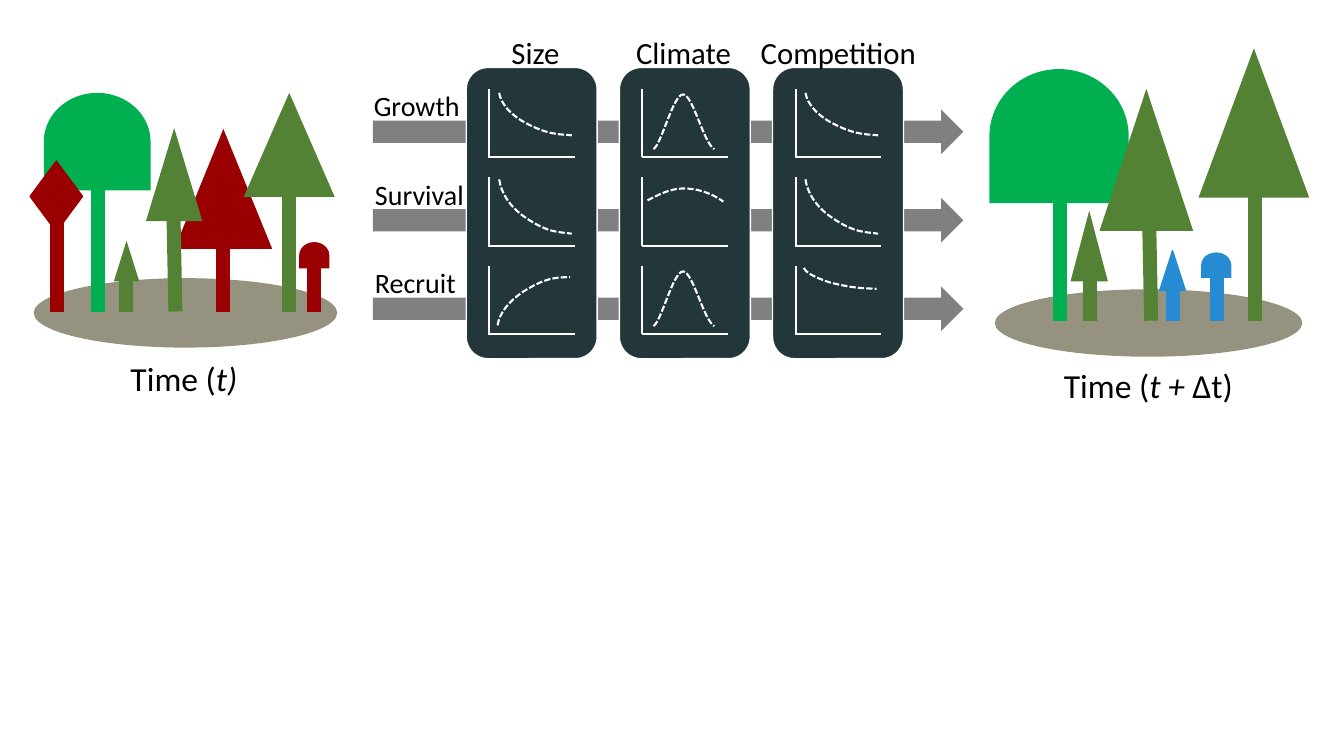
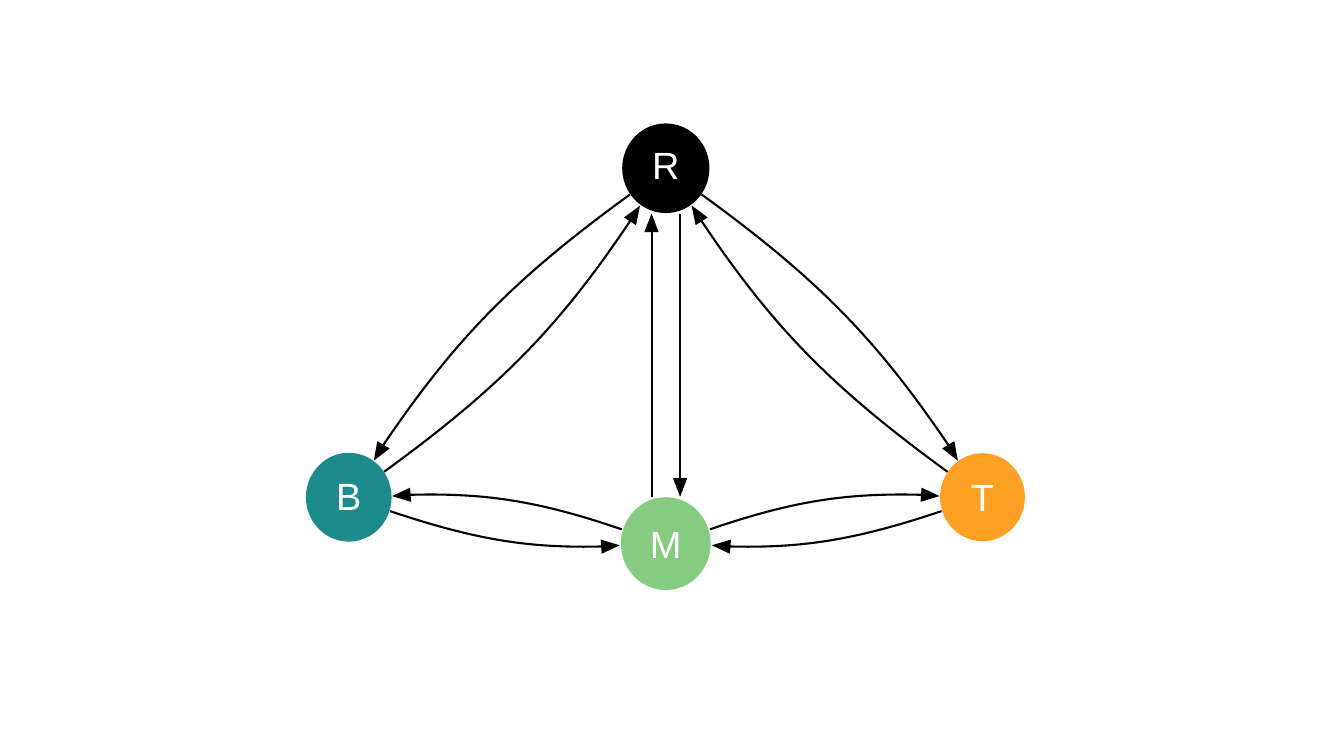
import math

import lxml.etree
import pptx
import pptx.dml.color
import pptx.enum.dml
import pptx.enum.shapes
import pptx.enum.text
import pptx.oxml.ns
import pptx.util

Cm = pptx.util.Cm
Pt = pptx.util.Pt
RGBColor = pptx.dml.color.RGBColor
SHAPE = pptx.enum.shapes.MSO_SHAPE
ALIGN = pptx.enum.text.PP_ALIGN
qn = pptx.oxml.ns.qn

BLACK = RGBColor(0x00, 0x00, 0x00)
WHITE = RGBColor(0xFF, 0xFF, 0xFF)
GRAY = RGBColor(0x80, 0x80, 0x80)
SOIL = RGBColor(0x95, 0x93, 0x7F)
SLATE = RGBColor(0x23, 0x36, 0x3A)
GREEN = RGBColor(0x00, 0xB0, 0x50)
OLIVE = RGBColor(0x53, 0x82, 0x34)
RED = RGBColor(0x9A, 0x00, 0x01)
BLUE = RGBColor(0x26, 0x8B, 0xD2)
TEAL = RGBColor(0x1D, 0x8B, 0x8B)
LIME = RGBColor(0x85, 0xCB, 0x80)
ORANGE = RGBColor(0xFD, 0xA1, 0x25)

DOME = SHAPE.FLOWCHART_DELAY
CONE = SHAPE.ISOSCELES_TRIANGLE
DIAMOND = SHAPE.DIAMOND

FOREST_BEFORE = [
    (DOME, 2.45, 2.34, 2.69, 2.46, GREEN, 2.46),
    (DOME, 7.92, 6.1, 0.76, 0.66, RED, 7.92),
    (CONE, 5.63, 3.25, 2.46, 3.02, RED, 5.61),
    (CONE, 7.29, 2.34, 2.29, 2.62, OLIVE, 7.29),
    (CONE, 4.39, 3.23, 1.42, 2.34, OLIVE, 4.37, 0.05),
    (CONE, 3.19, 6.07, 0.64, 1.02, OLIVE, 3.18),
    (DIAMOND, 1.42, 4.06, 1.32, 1.78, RED, 1.44, 0, RED),
]
FOREST_AFTER = [
    (DOME, 26.69, 1.74, 3.51, 3.38, GREEN, 26.72),
    (DOME, 30.65, 6.36, 0.76, 0.64, BLUE, 30.66),
    (CONE, 31.6, 1.22, 2.79, 3.76, OLIVE, 31.62),
    (CONE, 28.89, 2.24, 2.36, 3.58, OLIVE, 28.96, 0.05),
    (CONE, 27.45, 5.31, 0.94, 1.78, OLIVE, 27.46),
    (CONE, 29.55, 6.32, 0.64, 0.99, BLUE, 29.57, 0, BLUE),
]

SHALLOW = [(0.83, 0.1), (0.88, 0.38), (1.11, 0.64), (1.46, 0.84),
           (2.07, 1.17), (2.35, 1.14), (2.66, 1.17)]
STEEP = [(0.83, 0.05), (0.88, 0.41), (1.11, 0.74), (1.46, 0.99),
         (2.07, 1.42), (2.35, 1.37), (2.66, 1.42)]
RISING = [(0.79, 1.5), (0.84, 1.17), (1.09, 0.89), (1.42, 0.66),
          (2.06, 0.25), (2.34, 0.3), (2.62, 0.28)]
SLIGHT = [(0.79, 0.05), (0.84, 0.18), (1.09, 0.3), (1.42, 0.41),
          (2.06, 0.58), (2.34, 0.56), (2.62, 0.58)]
BELL = [(0.86, 1.52), (1.07, 1.37), (1.35, 0.16), (1.6, 0.14),
        (1.85, 0.13), (2.11, 1.34), (2.39, 1.52)]
HUMP = [(0.71, 0.58), (0.94, 0.46), (1.27, 0.28), (1.6, 0.28),
        (1.93, 0.28), (2.26, 0.36), (2.62, 0.61)]

FILTERS = [
    ("Size", 13.5, [SHALLOW, STEEP, RISING]),
    ("Climate", 17.23, [BELL, HUMP, BELL]),
    ("Competition", 21.13, [SHALLOW, STEEP, SLIGHT]),
]
RATES = [("Growth", 9.17), ("Survival", 9.2), ("Recruit", 9.2)]
PANEL_LEFT, PANEL_STEP, ROW_STEP = 11.75, 3.86, 2.23

AXIS_X = 16.78
STATES = [
    ("R", AXIS_X, 4.24, 2.2, 2.26, BLACK, 0.2),
    ("T", 24.76, 12.53, 2.14, 2.22, ORANGE, 0.04),
    ("M", AXIS_X, 13.7, 2.26, 2.34, LIME, 0.04),
    ("B", 8.79, 12.53, 2.16, 2.24, TEAL, 0.1),
]
TRANSITIONS = [
    ([(9.68, 11.89), (12.62, 9.75), (14.1, 8.23), (15.9, 5.54)], (16.13, 5.18)),
    ([(15.88, 4.9), (12.93, 7.04), (11.46, 8.56), (9.65, 11.23)], (9.42, 11.61)),
    ([(15.67, 13.34), (13.51, 12.6), (12.17, 12.42), (10.31, 12.47)], (9.88, 12.5)),
    ([(9.83, 12.88), (12.01, 13.61), (13.34, 13.82), (15.21, 13.77)], (15.62, 13.74)),
]


def write(shape, text, size=20, color=BLACK, font="Calibri", italic=False,
          align=ALIGN.CENTER):
    paragraph = shape.text_frame.paragraphs[0]
    paragraph.alignment = align
    run = paragraph.add_run()
    run.text = text
    run.font.size = Pt(size)
    run.font.name = font
    run.font.italic = italic
    run.font.color.rgb = color


def add_label(slide, left, top, width, height):
    label = slide.shapes.add_textbox(Cm(left), Cm(top), Cm(width), Cm(height))
    label.text_frame.word_wrap = True
    return label


def paint(shape, color, outline=None):
    shape.shadow.inherit = False
    shape.fill.solid()
    shape.fill.fore_color.rgb = color
    if outline is None:
        shape.line.fill.background()
    else:
        shape.line.color.rgb = outline
        shape.line.width = Pt(1)


def add_filled(slide, kind, left, top, width, height, color, outline=None):
    shape = slide.shapes.add_shape(kind, Cm(left), Cm(top), Cm(width), Cm(height))
    paint(shape, color, outline)
    return shape


def add_line(slide, start, end, color, width):
    ends = [Cm(value) for value in (*start, *end)]
    line = slide.shapes.add_connector(
        pptx.enum.shapes.MSO_CONNECTOR.STRAIGHT, *ends)
    line.line.color.rgb = color
    line.line.width = Pt(width)
    lxml.etree.SubElement(line._element.spPr, qn("a:effectLst"))


def add_outline(slide, points, close):
    corners = [(Cm(x), Cm(y)) for x, y in points]
    builder = slide.shapes.build_freeform(*corners[0])
    builder.add_line_segments(corners[1:], close=close)
    return builder.convert_to_shape()


def add_curve(slide, controls, color):
    curve = add_outline(slide, controls, close=False)
    segments = list(curve._element.iter(qn("a:lnTo")))
    for first in range(0, len(segments), 3):
        bend = lxml.etree.Element(qn("a:cubicBezTo"))
        segments[first].addprevious(bend)
        for segment in segments[first:first + 3]:
            bend.append(segment[0])
            segment.getparent().remove(segment)
    curve.shadow.inherit = False
    curve.fill.background()
    curve.line.color.rgb = color
    curve.line.width = Pt(1.5)
    return curve


def add_arrowhead(slide, end, tip):
    angle = math.atan2(tip[1] - end[1], tip[0] - end[0])
    back_x, back_y = 0.47 * math.cos(angle), 0.47 * math.sin(angle)
    side_x, side_y = -0.18 * math.sin(angle), 0.18 * math.cos(angle)
    base = [(tip[0] - back_x + sign * side_x, tip[1] - back_y + sign * side_y)
            for sign in (1, -1)]
    paint(add_outline(slide, [tip, *base], close=True), BLACK)


def add_tree(slide, ground, kind, x, top, width, height, color, trunk,
             lean=0, outline=None):
    if kind == DOME:
        middle = top + height / 2
        crown = add_filled(slide, kind, x - height / 2, middle - width / 2,
                           height, width, color)
        crown.rotation = 270
    else:
        add_filled(slide, kind, x - width / 2, top, width, height, color, outline)
    add_line(slide, (trunk, top + height - 0.25), (trunk + lean, ground), color, 10)


def add_forest(slide, soil, ground, trees):
    add_filled(slide, SHAPE.OVAL, *soil, SOIL)
    for tree in trees:
        add_tree(slide, ground, *tree)


def add_plot(slide, left, top, controls):
    bottom = top + 1.72
    add_line(slide, (left + 0.58, top), (left + 0.58, bottom), WHITE, 1.5)
    add_line(slide, (left + 0.56, bottom), (left + 2.74, bottom), WHITE, 1.5)
    curve = add_curve(slide, [(left + x, top + y) for x, y in controls], WHITE)
    curve.line.dash_style = pptx.enum.dml.MSO_LINE.SQUARE_DOT


def add_panel(slide, left, heading, center, curves):
    add_filled(slide, SHAPE.ROUNDED_RECTANGLE, left, 1.7, 3.3, 7.34,
               SLATE, outline=WHITE)
    for row, controls in enumerate(curves):
        add_plot(slide, left, 2.24 + row * ROW_STEP, controls)
    write(add_label(slide, center - 2.29, 0.73, 4.57, 1.19), heading, size=22)


def add_state(slide, letter, x, y, width, height, color, lift):
    state = add_filled(slide, SHAPE.OVAL, x - width / 2, y - height / 2,
                       width, height, color)
    frame = state.text_frame
    frame.margin_left = frame.margin_right = frame.margin_top = Cm(0)
    frame.margin_bottom = Cm(lift)
    frame.vertical_anchor = pptx.enum.text.MSO_ANCHOR.MIDDLE
    write(state, letter, size=27.1, color=WHITE, font="Arial")


def build_forest_model(slide):
    add_forest(slide, (0.85, 7.01, 7.65, 1.75), 7.85, FOREST_BEFORE)
    before = add_label(slide, 0.85, 8.9, 7.57, 1.27)
    write(before, "Time (", size=24)
    write(before, "t)", size=24, italic=True)

    for row in range(len(RATES)):
        add_filled(slide, SHAPE.RIGHT_ARROW, 9.4, 2.76 + row * ROW_STEP,
                   14.88, 1.12, GRAY)
    for column, panel in enumerate(FILTERS):
        add_panel(slide, PANEL_LEFT + column * PANEL_STEP, *panel)
    for row, (rate, left) in enumerate(RATES):
        label = add_label(slide, left, 2.11 + row * ROW_STEP, 3.35, 1.12)
        write(label, rate, align=ALIGN.LEFT)

    add_forest(slide, (25.07, 7.29, 7.75, 1.7), 8.08, FOREST_AFTER)
    after = add_label(slide, 25.09, 9.07, 7.7, 1.27)
    write(after, "Time (", size=24)
    write(after, "t + ", size=24, italic=True)
    write(after, "Δt)", size=24)


def mirror(point):
    return 2 * AXIS_X - point[0], point[1]


def build_state_model(slide):
    for controls, tip in TRANSITIONS:
        mirrored = [mirror(point) for point in controls]
        for side, target in ((controls, tip), (mirrored, mirror(tip))):
            add_curve(slide, side, BLACK)
            add_arrowhead(slide, side[-1], target)
    for x, start, end, tip in ((AXIS_X + 0.36, 5.38, 12.09, 12.52),
                               (AXIS_X - 0.36, 12.52, 5.82, 5.38)):
        add_line(slide, (x, start), (x, end), BLACK, 1.5)
        add_arrowhead(slide, (x, end), (x, tip))
    for state in STATES:
        add_state(slide, *state)


def main():
    deck = pptx.Presentation()
    deck.slide_width = Cm(33.87)
    deck.slide_height = Cm(19.05)
    blank = deck.slide_layouts[6]
    build_forest_model(deck.slides.add_slide(blank))
    build_state_model(deck.slides.add_slide(blank))
    deck.save("out.pptx")


if __name__ == "__main__":
    main()
